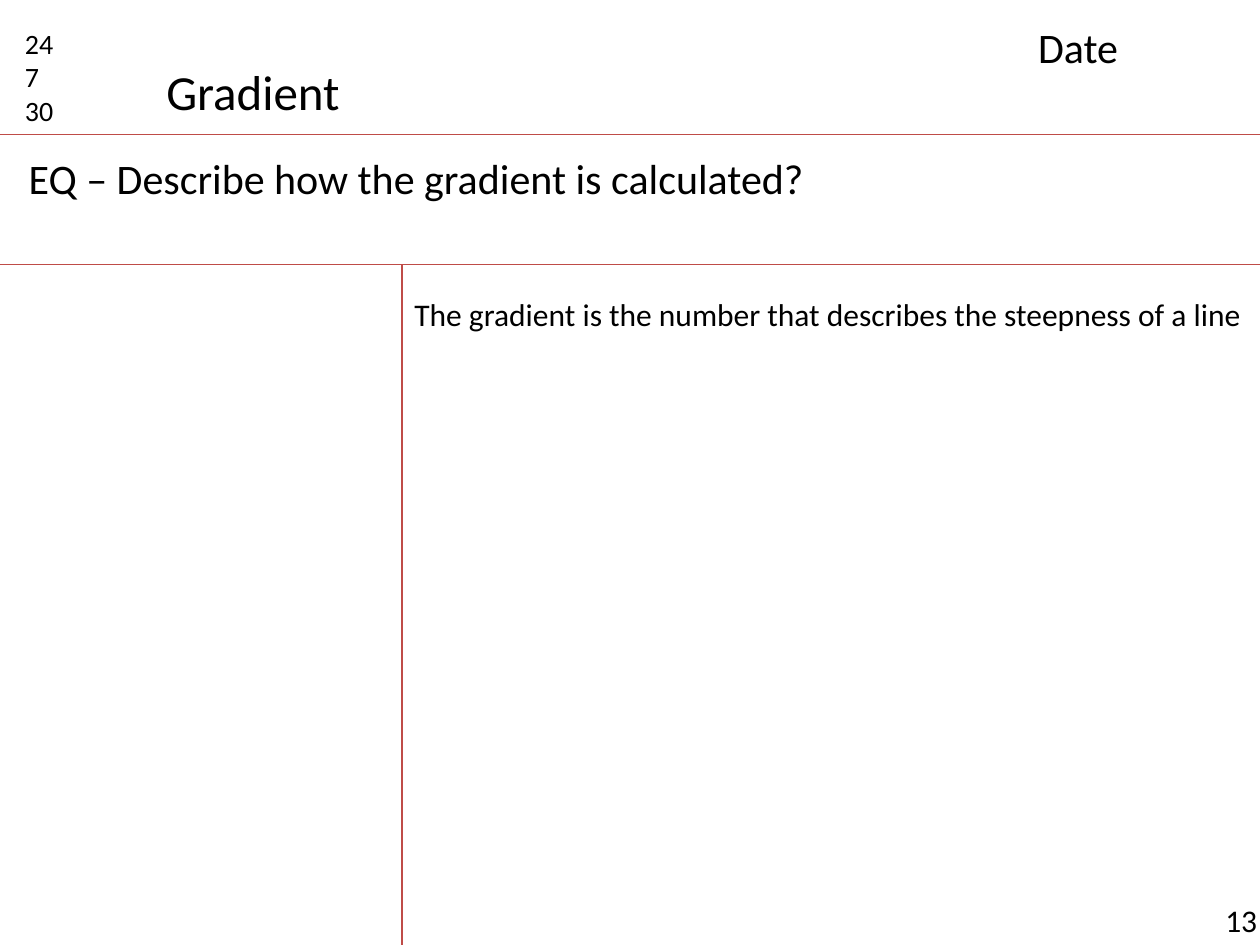
"""Build the gradient lesson notes slide."""
from lxml import etree
from pptx import Presentation
from pptx.dml.color import RGBColor
from pptx.enum.shapes import MSO_CONNECTOR
from pptx.enum.text import MSO_ANCHOR, MSO_AUTO_SIZE, PP_ALIGN
from pptx.oxml.ns import qn
from pptx.util import Inches, Pt

BLACK = RGBColor(0x00, 0x00, 0x00)
RED = RGBColor(0xBF, 0x4C, 0x48)
STRAIGHT = MSO_CONNECTOR.STRAIGHT
TOP = MSO_ANCHOR.TOP
LEFT = PP_ALIGN.LEFT
FIT_SHAPE = MSO_AUTO_SIZE.SHAPE_TO_FIT_TEXT

SLIDE_WIDTH, SLIDE_HEIGHT = 10, 7.5
HEADER_BOTTOM, QUESTION_BOTTOM, MARGIN_X = 1.07, 2.1, 3.19


def write_text(shape, text, size, wrap=True):
    frame = shape.text_frame
    frame.text = text
    frame.word_wrap = wrap
    frame.auto_size = FIT_SHAPE
    frame.vertical_anchor = TOP
    for paragraph in frame.paragraphs:
        paragraph.alignment = LEFT
        paragraph.font.name = "Calibri"
        paragraph.font.size = Pt(size)
        paragraph.font.color.rgb = BLACK


presentation = Presentation()
presentation.slide_width = Inches(SLIDE_WIDTH)
presentation.slide_height = Inches(SLIDE_HEIGHT)
slide = presentation.slides.add_slide(presentation.slide_layouts[5])

rules = [
    (0, HEADER_BOTTOM, SLIDE_WIDTH, HEADER_BOTTOM),
    (0, QUESTION_BOTTOM, SLIDE_WIDTH, QUESTION_BOTTOM),
    (MARGIN_X, QUESTION_BOTTOM, MARGIN_X, SLIDE_HEIGHT),
]
for ends in rules:
    rule = slide.shapes.add_connector(STRAIGHT, *map(Inches, ends))
    rule.line.color.rgb = RED
    rule.line.width = Pt(0.75)
    etree.SubElement(rule._element.spPr, qn("a:effectLst"))

title = slide.shapes.title
title.left, title.top = Inches(1.22), Inches(0.44)
title.width, title.height = Inches(1.59), Inches(0.57)
write_text(title, "Gradient", size=28, wrap=False)

notes = [
    ("24\n7\n30", 16, True, (0.1, 0.16, 0.63, 0.91)),
    ("Date", 24, True, (8.14, 0.12, 1.73, 0.5)),
    ("EQ – Describe how the gradient is calculated?", 24, True,
     (0.13, 1.16, 9.43, 0.5)),
    ("The gradient is the number that describes the steepness of a line", 18,
     False, (MARGIN_X, 2.29, 6.85, 0.4)),
    (" 13", 18, True, (9.57, 7.1, 0.6, 0.4)),
]
for text, size, wrap, place in notes:
    box = slide.shapes.add_textbox(*map(Inches, place))
    write_text(box, text, size=size, wrap=wrap)

presentation.save("out.pptx")
